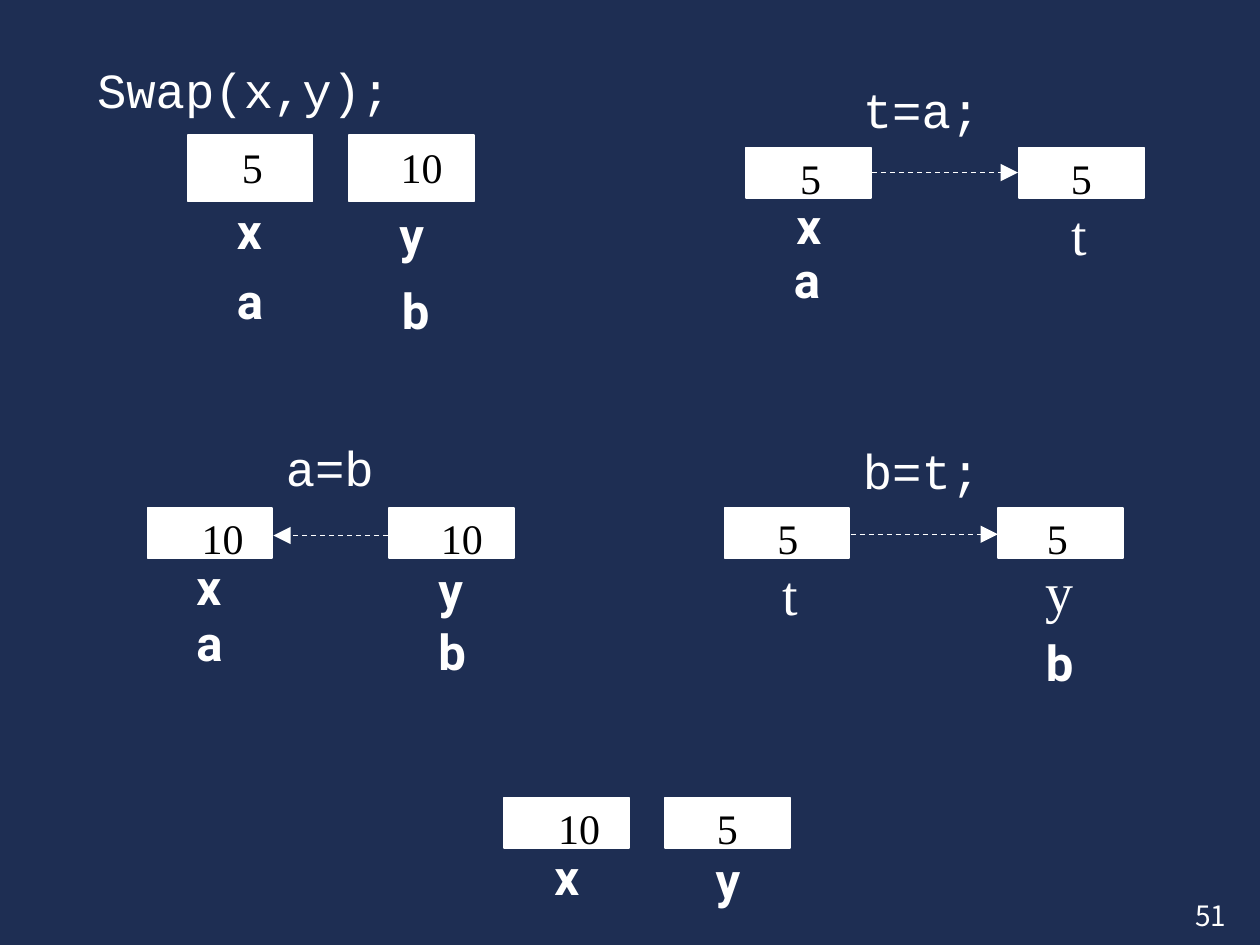
from dataclasses import dataclass

from lxml import etree
from pptx import Presentation
from pptx.dml.color import RGBColor
from pptx.enum.dml import MSO_LINE
from pptx.enum.shapes import MSO_CONNECTOR, MSO_SHAPE
from pptx.enum.text import MSO_ANCHOR, PP_ALIGN
from pptx.oxml.ns import qn
from pptx.util import Inches, Pt

RECT = MSO_SHAPE.RECTANGLE
LINE = MSO_CONNECTOR.STRAIGHT
DASH = MSO_LINE.DASH
TOP = MSO_ANCHOR.TOP
LEFT, RIGHT = PP_ALIGN.LEFT, PP_ALIGN.RIGHT

NAVY, WHITE, BLACK = "1E2E53", "FFFFFF", "000000"
BOX_W = 0.99


@dataclass(frozen=True)
class Style:
    font: str
    size: int
    color: str = WHITE
    bold: bool = False
    high: float = 0.47


CODE = Style("Courier New", 28, high=0.57)
NAME = Style("Roboto", 28, bold=True)
TEMP = Style("Times New Roman", 32, high=0.53)
VALUE = Style("Times New Roman", 24, BLACK, high=0.4)
PAGE = Style("Noto Sans CJK SC", 16, high=0.4)


@dataclass(frozen=True)
class Label:
    text: str
    dx: float  # from the left of its cell
    y: float
    style: Style = NAME


@dataclass(frozen=True)
class Cell:
    x: float
    y: float
    value: str
    dx: float
    labels: tuple[Label, ...]
    high: float = 0.4
    drop: float = 0.04  # from the top of the cell to its value


@dataclass(frozen=True)
class Arrow:
    start: float
    end: float
    y: float


CELLS = (
    # Before the call
    Cell(1.49, 1.07, "5", 0.43, (Label("x", 0.39, 1.59), Label("a", 0.39, 2.15)), 0.53, 0.05),
    Cell(2.77, 1.07, "10", 0.41, (Label("y", 0.4, 1.62), Label("b", 0.42, 2.23)), 0.53, 0.05),
    # t=a
    Cell(5.92, 1.17, "5", 0.43, (Label("x", 0.4, 1.55), Label("a", 0.38, 1.98))),
    Cell(8.09, 1.17, "5", 0.41, (Label("t", 0.41, 1.58, TEMP),)),
    # a=b
    Cell(1.17, 4.03, "10", 0.43, (Label("x", 0.39, 4.42), Label("a", 0.39, 4.86))),
    Cell(3.09, 4.03, "10", 0.41, (Label("y", 0.39, 4.44), Label("b", 0.39, 4.93))),
    # b=t
    Cell(5.75, 4.03, "5", 0.42, (Label("t", 0.46, 4.44, TEMP),)),
    Cell(7.92, 4.03, "5", 0.39, (Label("y", 0.38, 4.42, TEMP), Label("b", 0.38, 5.02))),
    # After the call
    Cell(4, 6.33, "10", 0.43, (Label("x", 0.4, 6.72),)),
    Cell(5.28, 6.33, "5", 0.41, (Label("y", 0.4, 6.74),)),
)
ARROWS = (Arrow(6.92, 8.08, 1.37), Arrow(3.08, 2.17, 4.25), Arrow(6.75, 7.92, 4.24))
STEPS = (("t=a;", 6.75, 0.58, 1.33), ("a=b", 2.17, 3.42, 1), ("b=t;", 6.75, 3.45, 1.33))


def rgb(color: str) -> RGBColor:
    return RGBColor.from_string(color)


def write(shape, text: str, style: Style, align=LEFT, pad: bool = True) -> None:
    frame = shape.text_frame
    frame.text = text
    frame.word_wrap = pad
    frame.vertical_anchor = TOP
    frame.margin_left = frame.margin_right = Inches(0.1 if pad else 0)
    frame.margin_top = frame.margin_bottom = Inches(0.05 if pad else 0)
    para = frame.paragraphs[0]
    para.alignment = align
    font = para.font
    font.name, font.size, font.bold = style.font, Pt(style.size), style.bold
    font.color.rgb = rgb(style.color)


def add_text(slide, text: str, x: float, y: float, wide: float, style: Style,
             align=LEFT, pad: bool = True) -> None:
    box = slide.shapes.add_textbox(Inches(x), Inches(y), Inches(wide), Inches(style.high))
    write(box, text, style, align, pad)


def add_cell(slide, cell: Cell) -> None:
    box = slide.shapes.add_shape(RECT, Inches(cell.x), Inches(cell.y),
                                 Inches(BOX_W), Inches(cell.high))
    box.shadow.inherit = False
    box.fill.solid()
    box.fill.fore_color.rgb = rgb(WHITE)
    box.line.color.rgb = rgb(WHITE)
    box.line.width = Pt(1)
    value = Label(cell.value, cell.dx, cell.y + cell.drop, VALUE)
    for label in (value, *cell.labels):
        wide = 0.17 * len(label.text) if label is value else 0.23
        if label.text == "t":
            wide = 0.12
        add_text(slide, label.text, cell.x + label.dx, label.y, wide, label.style, pad=False)


def add_arrow(slide, arrow: Arrow) -> None:
    y = Inches(arrow.y)
    link = slide.shapes.add_connector(LINE, Inches(arrow.start), y, Inches(arrow.end), y)
    link.line.color.rgb = rgb(WHITE)
    link.line.width = Pt(0.75)
    link.line.dash_style = DASH
    props = link.line._get_or_add_ln()
    etree.SubElement(props, qn("a:tailEnd"), type="triangle", w="lg", len="lg")
    etree.SubElement(link._element.spPr, qn("a:effectLst"))


def main() -> None:
    deck = Presentation()
    deck.slide_width, deck.slide_height = Inches(10), Inches(7.5)
    slide = deck.slides.add_slide(deck.slide_layouts[5])
    slide.background.fill.solid()
    slide.background.fill.fore_color.rgb = rgb(NAVY)

    # Call as the title
    title = slide.shapes.title
    title.left, title.top = Inches(0.67), Inches(0.42)
    title.width, title.height = Inches(2.75), Inches(CODE.high)
    write(title, "Swap(x,y);", CODE)

    # Variables, assignments and page number
    for cell in CELLS:
        add_cell(slide, cell)
    for arrow in ARROWS:
        add_arrow(slide, arrow)
    for text, x, y, wide in STEPS:
        add_text(slide, text, x, y, wide, CODE)
    add_text(slide, "51", 9.33, 7.08, 0.5, PAGE, RIGHT)

    deck.save("out.pptx")


if __name__ == "__main__":
    main()
